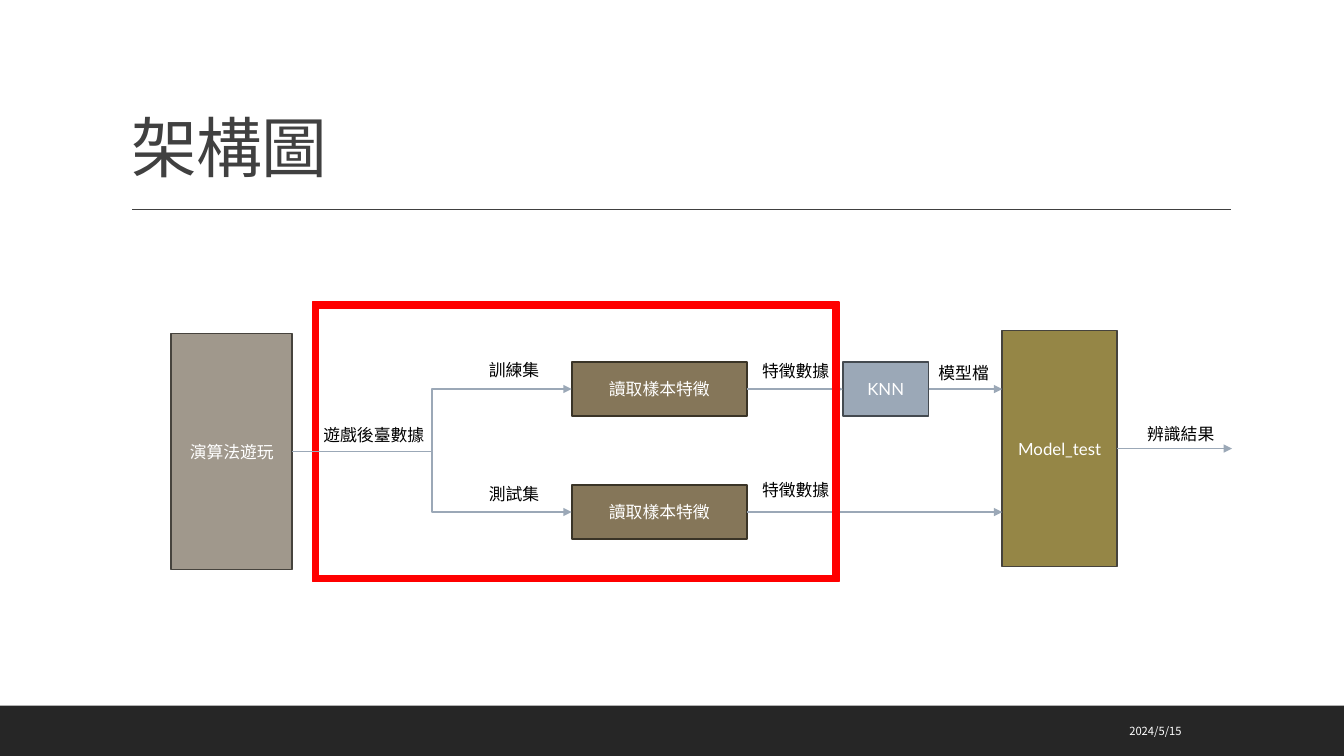
from dataclasses import dataclass

from lxml.etree import SubElement
from pptx import Presentation
from pptx.dml.color import RGBColor
from pptx.enum.shapes import MSO_CONNECTOR, MSO_SHAPE
from pptx.enum.text import MSO_ANCHOR, PP_ALIGN
from pptx.oxml.ns import qn
from pptx.util import Inches, Pt


@dataclass(frozen=True)
class Theme:
    """Colours, fonts and type sizes of the slide."""
    title: str = "404040"
    footer: str = "262626"
    white: str = "FFFFFF"
    black: str = "000000"
    highlight: str = "FF0000"
    arrow: str = "9BA8B7"
    play: str = "A0988C"
    feature: str = "857659"
    knn: str = "9BA8B7"
    model: str = "958646"
    block_edge: str = "46433D"
    feature_edge: str = "3A3427"
    knn_edge: str = "444A50"
    body_font: str = "Lato"
    title_font: str = "Noto Sans CJK SC"
    cjk_font: str = "Noto Sans CJK TC"
    title_size: float = 47
    body_size: float = 12
    date_size: float = 8
    edge_width: float = 1.25
    arrow_width: float = 1


THEME = Theme()
LEFT_SITE, RIGHT_SITE = 1, 3


def write(frame, text, size, color, font=THEME.body_font, cjk=THEME.cjk_font,
          align=PP_ALIGN.LEFT, anchor=MSO_ANCHOR.TOP):
    """Fill a text frame with one formatted paragraph and return it."""
    frame.text = text
    frame.word_wrap = True
    frame.vertical_anchor = anchor
    paragraph = frame.paragraphs[0]
    paragraph.alignment = align
    run = paragraph.runs[0]
    run.font.size = Pt(size)
    run.font.name = font
    run.font.color.rgb = RGBColor.from_string(color)
    east_asian = SubElement(run.font._element, qn("a:ea"))
    east_asian.set("typeface", cjk)
    run.font._element.find(qn("a:latin")).addnext(east_asian)
    return paragraph


def add_title(slide, text):
    """Move and format the title placeholder."""
    title = slide.shapes.title
    title.left, title.top = Inches(1.2), Inches(0.31)
    title.width, title.height = Inches(11), Inches(1.59)
    paragraph = write(title.text_frame, text, THEME.title_size, THEME.title,
                      THEME.title_font, THEME.title_font, anchor=MSO_ANCHOR.BOTTOM)
    paragraph.line_spacing = 0.9
    paragraph.runs[0].font._element.set("spc", "-50")


def add_block(slide, box, fill, edge=None, text="", preset=MSO_SHAPE.RECTANGLE):
    """Draw a filled shape with an optional edge and centred text."""
    block = slide.shapes.add_shape(preset, *map(Inches, box))
    block.shadow.inherit = False
    block.fill.solid()
    block.fill.fore_color.rgb = RGBColor.from_string(fill)
    if edge:
        block.line.color.rgb = RGBColor.from_string(edge)
        block.line.width = Pt(THEME.edge_width)
    else:
        block.line.fill.background()
    if text:
        write(block.text_frame, text, THEME.body_size, THEME.white,
              align=PP_ALIGN.CENTER, anchor=MSO_ANCHOR.MIDDLE)
    return block


def add_label(slide, text, left, top, width, height=0.3, size=THEME.body_size,
              color=THEME.black, font=THEME.body_font, **layout):
    """Place a text box."""
    label = slide.shapes.add_textbox(*map(Inches, (left, top, width, height)))
    write(label.text_frame, text, size, color, font, **layout)


def add_line(slide, start, end, color, kind=MSO_CONNECTOR.STRAIGHT):
    """Draw a plain connector between two points."""
    line = slide.shapes.add_connector(kind, *start, *end)
    line.line.color.rgb = RGBColor.from_string(color)
    line.line.width = Pt(THEME.arrow_width)
    SubElement(line._element.spPr, qn("a:effectLst"))
    return line


def add_arrow(slide, source, target=None, end_x=None, kind=MSO_CONNECTOR.STRAIGHT):
    """Run an arrow from a block to another block, or level to end_x."""
    start = source.left + source.width, source.top + source.height // 2
    end = (target.left, target.top + target.height // 2) if target else (end_x, start[1])
    arrow = add_line(slide, start, end, THEME.arrow, kind)
    arrow.begin_connect(source, RIGHT_SITE)
    if target:
        arrow.end_connect(target, LEFT_SITE)
    SubElement(arrow.line._get_or_add_ln(), qn("a:tailEnd")).set("type", "triangle")


def add_frame(slide, box):
    """Draw the highlight frame."""
    frame = add_block(slide, box, THEME.highlight, THEME.highlight, preset=MSO_SHAPE.FRAME)
    frame.adjustments[0] = 0.02


def add_footer(slide, date):
    """Draw the footer band and its date."""
    add_block(slide, (0, 7, 13.33, 0.5), THEME.footer)
    add_label(slide, date, 8.99, 7.05, 2.83, 0.4, THEME.date_size, THEME.white,
              THEME.cjk_font, align=PP_ALIGN.RIGHT, anchor=MSO_ANCHOR.MIDDLE)


def main():
    """Build the architecture slide."""
    deck = Presentation()
    deck.slide_width, deck.slide_height = Inches(13.33), Inches(7.5)
    slide = deck.slides.add_slide(deck.slide_layouts[5])

    add_footer(slide, "2024/5/15")
    add_line(slide, (Inches(1.31), Inches(2.08)), (Inches(12.21), Inches(2.08)), THEME.title)
    add_title(slide, "架構圖")

    train, test = (
        add_block(slide, (5.67, top, 1.74, 0.54), THEME.feature, THEME.feature_edge, "讀取樣本特徵")
        for top in (3.59, 4.81)
    )
    model = add_block(slide, (9.94, 3.28, 1.14, 2.34), THEME.model, THEME.block_edge, "Model_test")
    knn = add_block(slide, (8.36, 3.59, 0.85, 0.54), THEME.knn, THEME.knn_edge, "KNN")
    play = add_block(slide, (1.7, 3.31, 1.2, 2.34), THEME.play, THEME.block_edge, "演算法遊玩")

    add_arrow(slide, train, knn)
    add_arrow(slide, knn, end_x=model.left)
    add_arrow(slide, test, end_x=model.left)
    add_arrow(slide, model, end_x=Inches(12.22))

    for text, left, top, width in (
        ("訓練集", 4.75, 3.52, 0.96),
        ("測試集", 4.75, 4.75, 0.96),
        ("特徵數據", 7.46, 3.53, 0.9),
        ("特徵數據", 7.46, 4.71, 0.9),
        ("模型檔", 9.21, 3.55, 0.73),
        ("辨識結果", 11.28, 4.15, 1.26),
        ("遊戲後臺數據", 3.11, 4.16, 1.24),
    ):
        add_label(slide, text, left, top, width)

    add_frame(slide, (3.1, 3, 5.22, 2.77))
    for features in (train, test):
        add_arrow(slide, play, features, kind=MSO_CONNECTOR.ELBOW)

    deck.save("out.pptx")


if __name__ == "__main__":
    main()
